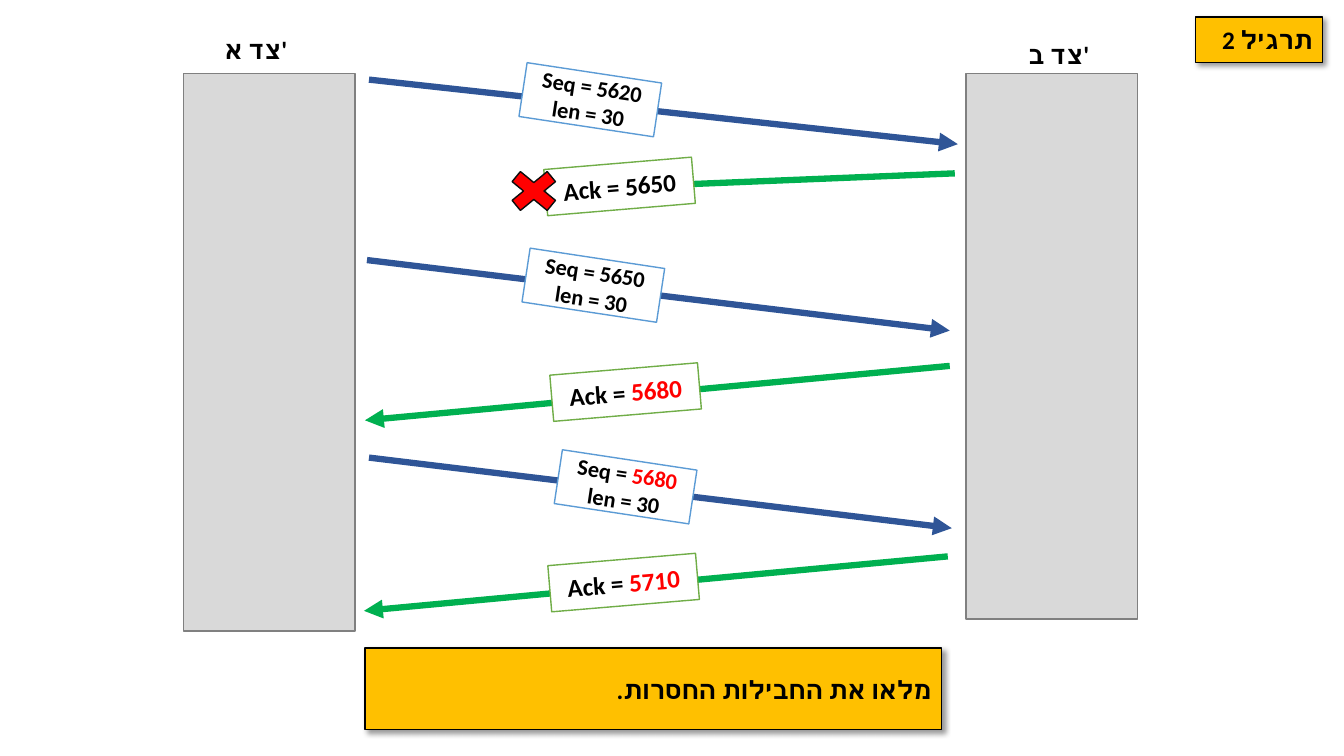
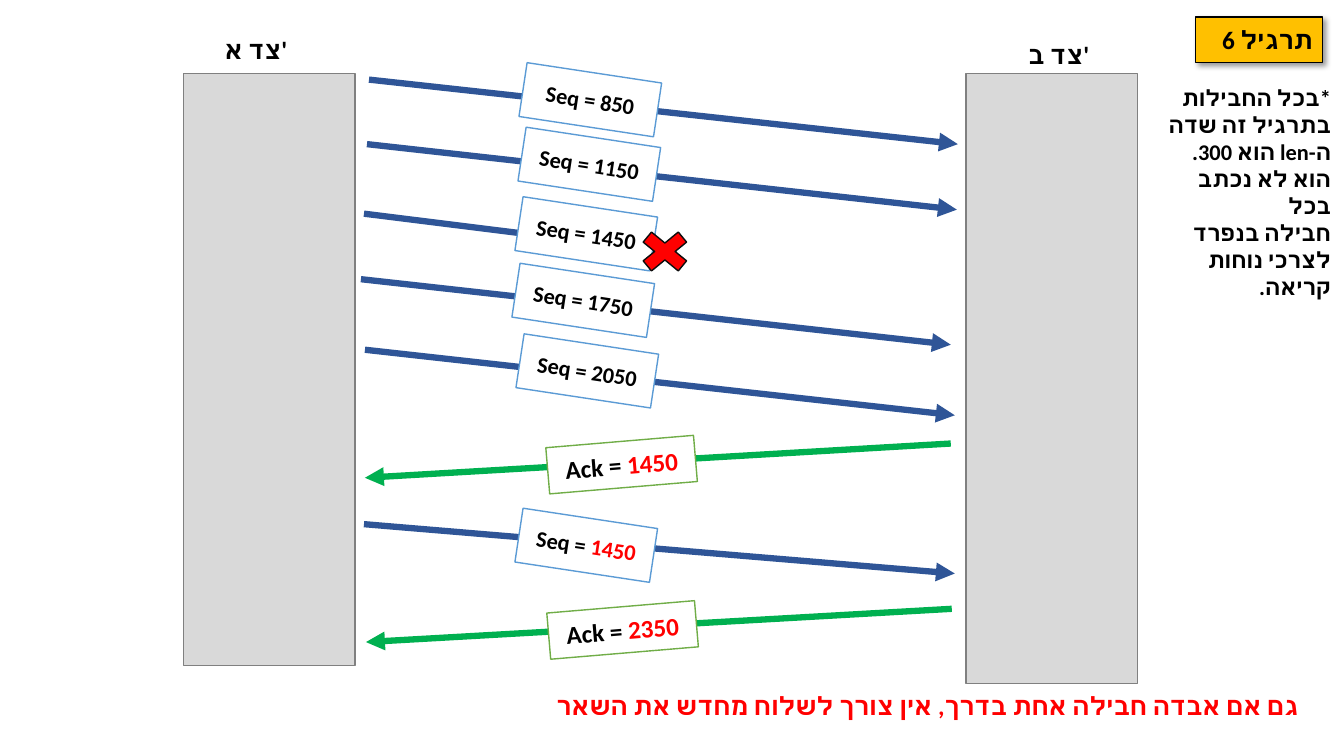
import pptx
import pptx.util
import pptx.dml.color
import pptx.enum.shapes
import pptx.enum.text
import pptx.oxml
import pptx.oxml.ns

Inches, Pt = pptx.util.Inches, pptx.util.Pt
SHAPE = pptx.enum.shapes.MSO_SHAPE
ANCHOR = pptx.enum.text.MSO_ANCHOR
ALIGN = pptx.enum.text.PP_ALIGN
NS = 'xmlns:a="http://schemas.openxmlformats.org/drawingml/2006/main"'

FONT = "Calibri"
BLACK, WHITE, RED, GOLD = "000000", "FFFFFF", "FF0000", "FFC000"
SHADOW = (f'<a:effectLst {NS}><a:outerShdw blurRad="50800" dist="38100" '
          'dir="2700000" algn="tl" rotWithShape="0"><a:srgbClr val="000000">'
          '<a:alpha val="40000"/></a:srgbClr></a:outerShdw></a:effectLst>')

# Packet styles: arrow colour, label border, label size, turn, text size
STYLES = {
    "seq": ("2F5597", "5B9BD5", (1.35, 0.54), 8.6, 16),
    "ack": ("00B050", "70AD47", (1.47, 0.46), -4.8, 18),
}
# Sides: name, name place, bar left
SIDES = [("צד א'", (1.76, 0.31), 1.82), ("צד ב'", (9.72, 0.36), 9.58)]

# Packets: style, arrow start, arrow end, label place, text ("|" starts red)
SLIDES = [
    {
        "title": "תרגיל 2",
        "bars": (5.53, 5.41),
        "packets": [
            ("seq", (3.66, 0.79), (9.5, 1.43), (5.18, 0.72), "Seq = 5620\nlen = 30"),
            ("ack", (9.47, 1.72), (5.29, 1.89), (5.41, 1.62), "Ack = 5650"),
            ("seq", (3.64, 2.58), (9.42, 3.28), (5.21, 2.56), "Seq = 5650\nlen = 30"),
            ("ack", (9.42, 3.63), (3.62, 4.17), (5.47, 3.66), "Ack = |5680"),
            ("seq", (3.66, 4.54), (9.44, 5.24), (5.53, 4.56), "Seq = |5680\nlen = 30"),
            ("ack", (9.4, 5.52), (3.61, 6.06), (5.45, 5.55), "Ack = |5710"),
        ],
        "lost": (4.96, 1.62),
        "task": "מלאו את החבילות החסרות.",
        "notes": [],
    },
    {
        "title": "תרגיל 6",
        "bars": (5.87, 6.05),
        "packets": [
            ("seq", (3.66, 0.79), (9.5, 1.43), (5.18, 0.72), "Seq = 850"),
            ("seq", (3.64, 1.43), (9.49, 2.08), (5.17, 1.36), "Seq = 1150"),
            ("seq", (3.61, 2.12), (6.5, 2.48), (5.14, 2.05), "Seq = 1450"),
            ("seq", (3.58, 2.77), (9.43, 3.42), (5.11, 2.71), "Seq = 1750"),
            ("seq", (3.62, 3.47), (9.47, 4.12), (5.15, 3.41), "Seq = 2050"),
            ("ack", (9.43, 4.4), (3.62, 4.74), (5.43, 4.38), "Ack = |1450"),
            ("seq", (3.61, 5.2), (9.47, 5.69), (5.14, 5.14), "Seq = |1450"),
            ("ack", (9.44, 6.04), (3.63, 6.37), (5.44, 6.02), "Ack = |2350"),
        ],
        "lost": (6.26, 2.22),
        "task": None,
        # Notes: place, text size, colour, text
        "notes": [
            ((11.38, 0.79, 1.92, 2.3), 16, BLACK,
             "*בכל החבילות\nבתרגיל זה שדה\nה-len הוא 300.\n"
             "הוא לא נכתב בכל\nחבילה בנפרד\nלצרכי נוחות קריאה."),
            ((5, 6.8, 7.98, 0.4), 18, RED,
             "גם אם אבדה חבילה אחת בדרך, אין צורך לשלוח מחדש את השאר"),
        ],
    },
]


def rgb(code):
    return pptx.dml.color.RGBColor.from_string(code)


def write(shape, text, size, color=BLACK, rtl=False):
    frame = shape.text_frame
    frame.word_wrap = True
    frame.text = text.replace("|", "")
    for para, line in zip(frame.paragraphs, text.split("\n")):
        para.alignment = ALIGN.RIGHT if rtl else ALIGN.CENTER
        if rtl:
            para._p.get_or_add_pPr().set("rtl", "1")
        head, mark, tail = line.partition("|")
        para.runs[0].text = head
        if mark:
            para.add_run().text = tail
        for run, tint in zip(para.runs, (color, RED)):
            font = run.font
            font.name, font.size, font.bold = FONT, Pt(size), True
            font.color.rgb = rgb(tint)
            props = run._r.get_or_add_rPr()
            props.append(pptx.oxml.parse_xml(f'<a:cs {NS} typeface="{FONT}"/>'))


def draw(slide, box, fill, edge=None, kind=SHAPE.RECTANGLE):
    shape = slide.shapes.add_shape(kind, *map(Inches, box))
    shape.shadow.inherit = False
    shape.fill.solid()
    shape.fill.fore_color.rgb = rgb(fill)
    if edge:
        shape.line.color.rgb = rgb(edge)
        shape.line.width = Pt(1)
    else:
        shape.line.fill.background()
    shape.text_frame.vertical_anchor = ANCHOR.MIDDLE
    return shape


def banner(slide, box, text):
    shape = draw(slide, box, GOLD, BLACK)
    props = shape._element.spPr
    props.remove(props.find(pptx.oxml.ns.qn("a:effectLst")))
    props.append(pptx.oxml.parse_xml(SHADOW))
    write(shape, text, 18, rtl=True)


def arrow(slide, start, end, color):
    line = slide.shapes.add_connector(
        pptx.enum.shapes.MSO_CONNECTOR.STRAIGHT, *map(Inches, start + end))
    line.line.color.rgb = rgb(color)
    line.line.width = Pt(4.5)
    line.line._get_or_add_ln().append(
        pptx.oxml.parse_xml(f'<a:tailEnd {NS} type="triangle"/>'))
    line._element.spPr.append(pptx.oxml.parse_xml(f"<a:effectLst {NS}/>"))


def packet(slide, style, start, end, place, text):
    color, edge, dims, turn, size = STYLES[style]
    arrow(slide, start, end, color)
    label = draw(slide, place + dims, WHITE, edge)
    label.rotation = turn
    write(label, text, size)


def build(slide, data):
    # Sides
    for (name, place, left), height in zip(SIDES, data["bars"]):
        write(draw(slide, place + (1.56, 0.37), WHITE), name, 18)
        draw(slide, (left, 0.73, 1.7, height), "D9D9D9", "808080")
    # Packets and the lost one
    for item in data["packets"]:
        packet(slide, *item)
    draw(slide, data["lost"] + (0.67, 0.55), RED, "0D0D0D", SHAPE.MATH_MULTIPLY)
    # Banners and notes
    banner(slide, (11.86, 0.17, 1.26, 0.45), data["title"])
    if data["task"]:
        banner(slide, (3.62, 6.43, 5.72, 0.81), data["task"])
    for box, size, color, text in data["notes"]:
        note = slide.shapes.add_textbox(*map(Inches, box))
        write(note, text, size, color, rtl=True)


def main():
    deck = pptx.Presentation()
    deck.slide_width, deck.slide_height = Inches(13.33), Inches(7.5)
    for data in SLIDES:
        build(deck.slides.add_slide(deck.slide_layouts[6]), data)
    deck.save("out.pptx")


if __name__ == "__main__":
    main()
